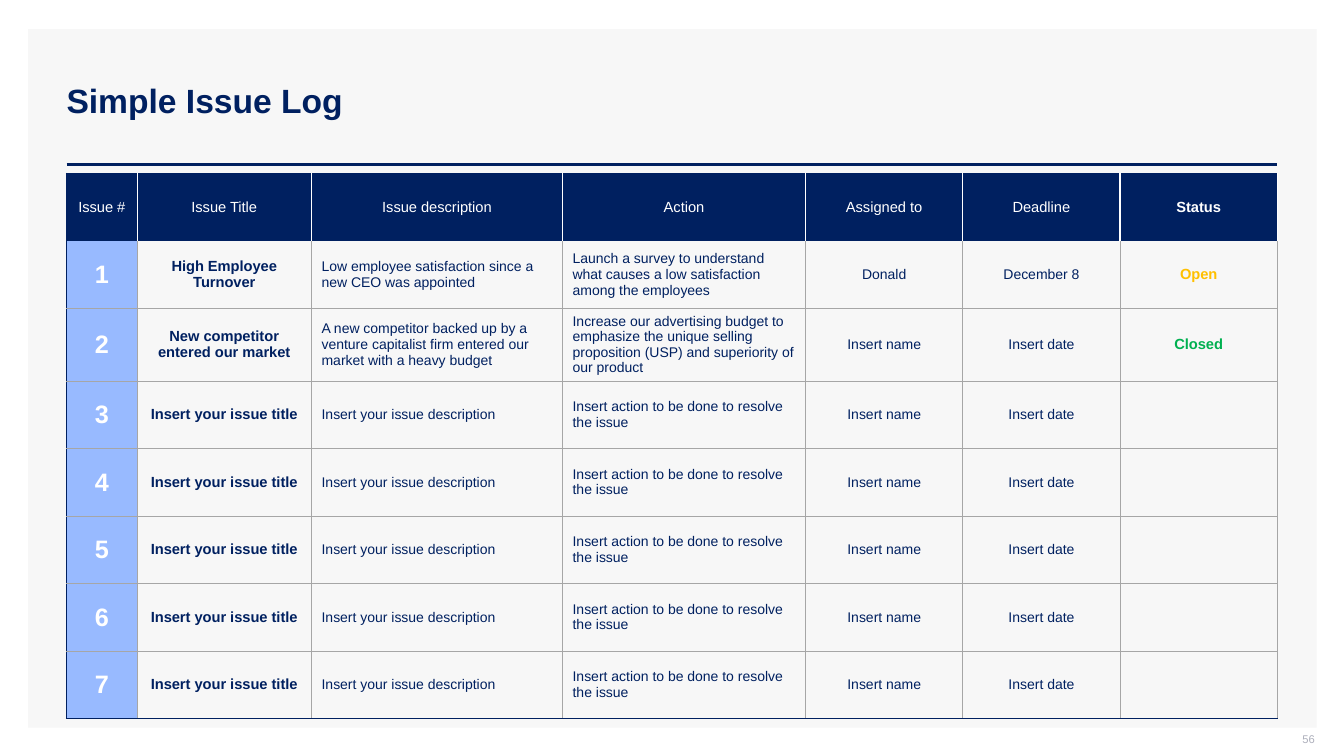
"""Build the simple issue log slide."""
from dataclasses import dataclass

from lxml import etree
from pptx import Presentation
from pptx.dml.color import RGBColor
from pptx.enum.shapes import MSO_CONNECTOR, MSO_SHAPE
from pptx.enum.text import MSO_ANCHOR, PP_ALIGN
from pptx.oxml.ns import qn
from pptx.util import Inches, Pt

LEFT, CENTER, RIGHT = PP_ALIGN.LEFT, PP_ALIGN.CENTER, PP_ALIGN.RIGHT
MIDDLE = MSO_ANCHOR.MIDDLE
RECT = MSO_SHAPE.RECTANGLE
STRAIGHT = MSO_CONNECTOR.STRAIGHT


@dataclass(frozen=True)
class Theme:
    font: str = "Arial"
    navy: str = "002060"
    white: str = "FFFFFF"
    panel: str = "F7F7F7"
    sky: str = "98BAFF"
    grid: str = "A6A6A6"
    muted: str = "ADAFBB"
    amber: str = "FFC000"
    green: str = "00B050"
    title: float = 24
    number: float = 18
    label: float = 10.5
    body: float = 10
    page: float = 8


THEME = Theme()
STATUS = {"Open": THEME.amber, "Closed": THEME.green}
WIDTHS = [0.7, 1.73, 2.49, 2.41, 1.56, 1.56, 1.56]
ROW = 0.67
HEADS = ["Issue #", "Issue Title", "Issue description", "Action",
         "Assigned to", "Deadline", "Status"]
BLANK = ["Insert your issue title", "Insert your issue description",
         "Insert action to be done to resolve the issue",
         "Insert name", "Insert date", ""]
ISSUES = [
    ["High Employee Turnover",
     "Low employee satisfaction since a new CEO was appointed",
     "Launch a survey to understand what causes a low satisfaction "
     "among the employees",
     "Donald", "December 8", "Open"],
    ["New competitor entered our market",
     "A new competitor backed up by a venture capitalist firm entered our "
     "market with a heavy budget",
     "Increase our advertising budget to emphasize the unique selling "
     "proposition (USP) and superiority of our product",
     "Insert name", "Insert date", "Closed"],
] + [BLANK] * 5


def rgb(code):
    return RGBColor.from_string(code)


def write(frame, text, size=THEME.body, color=THEME.navy, bold=False,
          align=LEFT):
    para = frame.paragraphs[0]
    para.alignment = align
    run = para.add_run()
    run.text = text
    font = run.font
    font.name, font.size, font.bold = THEME.font, Pt(size), bold
    font.color.rgb = rgb(color)


def add_panel(slide):
    panel = slide.shapes.add_shape(
        RECT, Inches(0.28), Inches(0.29), Inches(12.78), Inches(6.93))
    panel.shadow.inherit = False
    panel.fill.solid()
    panel.fill.fore_color.rgb = rgb(THEME.panel)
    panel.line.fill.background()
    slide.shapes.title.element.addprevious(panel.element)


def add_title(slide, text):
    title = slide.shapes.title
    title.left, title.top = Inches(0.56), Inches(0.4)
    title.width, title.height = Inches(12.11), Inches(1.19)
    title.text_frame.vertical_anchor = MIDDLE
    write(title.text_frame, text, size=THEME.title, bold=True)


def add_rule(slide):
    rule = slide.shapes.add_connector(
        STRAIGHT, Inches(0.66), Inches(1.63), Inches(12.67), Inches(1.63))
    rule.line.color.rgb = rgb(THEME.navy)
    rule.line.width = Pt(2)
    etree.SubElement(rule.element.spPr, qn("a:effectLst"))


def add_page(slide, text):
    box = slide.shapes.add_textbox(
        Inches(10.04), Inches(7.25), Inches(3), Inches(0.21))
    frame = box.text_frame
    frame.word_wrap = True
    frame.vertical_anchor = MIDDLE
    frame.margin_top = frame.margin_right = 0
    frame.margin_bottom = Inches(0.05)
    write(frame, text, size=THEME.page, color=THEME.muted, align=RIGHT)


def set_edge(cell, side, color, width):
    props = cell._tc.get_or_add_tcPr()
    line = etree.SubElement(props, qn("a:ln" + side), w=str(Pt(width)))
    if color:
        fill = etree.SubElement(line, qn("a:solidFill"))
        etree.SubElement(fill, qn("a:srgbClr"), val=color)
    else:
        etree.SubElement(line, qn("a:noFill"))


def edges(row, col):
    """Return the colour and width of each side of a cell."""
    navy, grid = (THEME.navy, 1), (THEME.grid, 0.5)
    white, none = (THEME.white, 1), (None, 0)
    inner = white if row == 0 else grid
    last = len(ISSUES)
    return {
        "L": navy if col == 0 else inner,
        "R": inner,
        "T": {0: navy, 1: none}.get(row, grid),
        "B": {0: none, last: navy}.get(row, grid),
    }


def cell_style(row, col, text):
    """Return the text format of a cell."""
    if row == 0:
        return dict(size=THEME.label, color=THEME.white,
                    bold=HEADS[col] == "Status", align=CENTER)
    if col == 0:
        return dict(size=THEME.number, color=THEME.white, bold=True,
                    align=CENTER)
    if col == 1 or text in STATUS:
        return dict(size=THEME.label, color=STATUS.get(text, THEME.navy),
                    bold=True, align=CENTER)
    return dict(align=LEFT if col in (2, 3) else CENTER)


def fill_cell(cell, row, col, text):
    cell.vertical_anchor = MIDDLE
    for side, (color, width) in edges(row, col).items():
        set_edge(cell, side, color, width)
    if row == 0 or col == 0:
        cell.fill.solid()
        cell.fill.fore_color.rgb = rgb(THEME.sky if row else THEME.navy)
    else:
        cell.fill.background()
    if text:
        write(cell.text_frame, text, **cell_style(row, col, text))


def add_log(slide):
    rows = [HEADS] + [[str(num), *issue]
                      for num, issue in enumerate(ISSUES, 1)]
    table = slide.shapes.add_table(
        len(rows), len(WIDTHS), Inches(0.66), Inches(1.72),
        Inches(sum(WIDTHS)), Inches(ROW * len(rows))).table
    table.horz_banding = False
    for column, width in zip(table.columns, WIDTHS):
        column.width = Inches(width)
    for row, texts in enumerate(rows):
        table.rows[row].height = Inches(ROW)
        for col, text in enumerate(texts):
            fill_cell(table.cell(row, col), row, col, text)


def main():
    deck = Presentation()
    deck.slide_width, deck.slide_height = Inches(13.33), Inches(7.5)
    slide = deck.slides.add_slide(deck.slide_layouts[5])
    add_panel(slide)
    add_title(slide, "Simple Issue Log")
    add_rule(slide)
    add_log(slide)
    add_page(slide, "56")
    deck.save("out.pptx")


if __name__ == "__main__":
    main()
